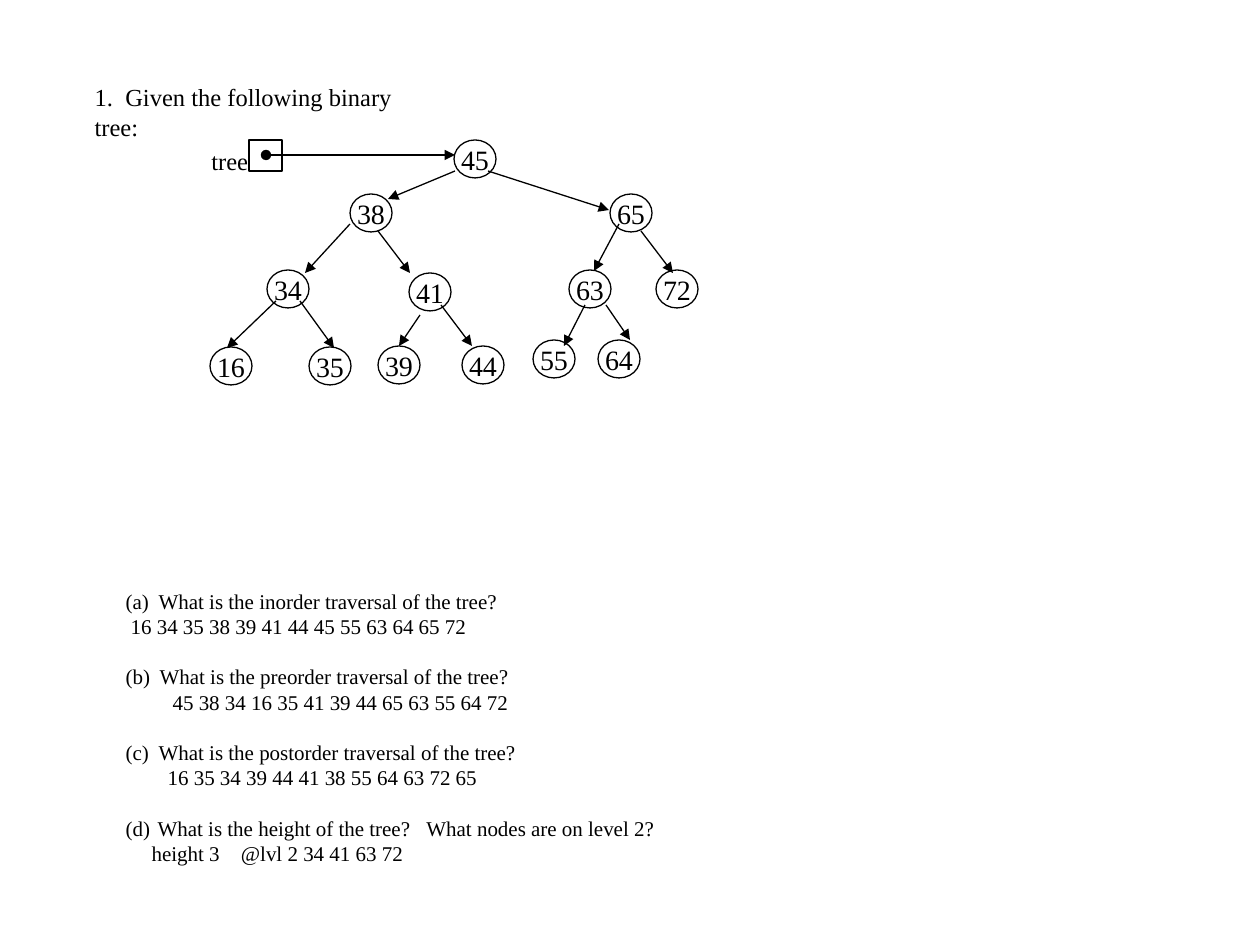
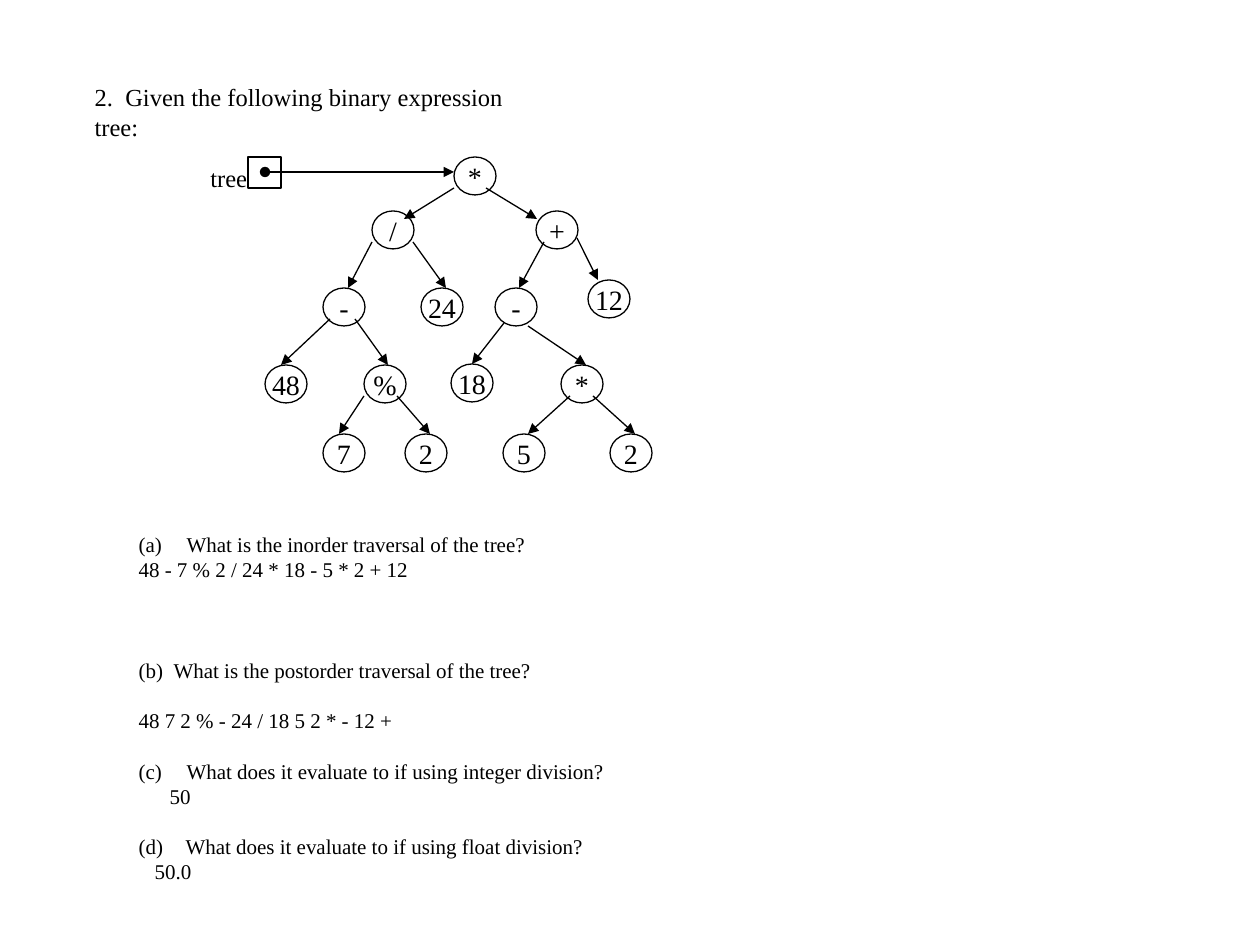
import pptx
import pptx.util
import pptx.dml.color
import pptx.enum.shapes
import pptx.enum.text
import pptx.oxml

Pt = pptx.util.Pt
Shape = pptx.enum.shapes.MSO_SHAPE
Link = pptx.enum.shapes.MSO_CONNECTOR
Text = pptx.enum.text
scale = 914400 / 126
theme = {
    "ink": pptx.dml.color.RGBColor(0, 0, 0),
    "font": "Times New Roman",
    "head": 14, "body": 12, "node": 16,
    "line": 0.75, "row": 14.4,
    "size": (42, 38),
}
space = 'xmlns:a="http://schemas.openxmlformats.org/drawingml/2006/main"'
flush = {"margin_left": 0, "margin_right": 0, "margin_top": 0, "margin_bottom": 0,
         "word_wrap": False, "vertical_anchor": Text.MSO_ANCHOR.MIDDLE}
block = {"word_wrap": True, "auto_size": Text.MSO_AUTO_SIZE.NONE,
         "vertical_anchor": Text.MSO_ANCHOR.TOP}


def put(thing, vals):
    for name, val in vals.items():
        setattr(thing, name, val)


def say(para, text, size, gap=0, align=Text.PP_ALIGN.LEFT):
    para.alignment = align
    for num, part in enumerate(text.replace("|", "| |").split("|")):
        run = para.add_run()
        run.text = part
        put(run.font, {"name": theme["font"], "size": Pt(theme[size]), "bold": False})
        run.font.color.rgb = theme["ink"]
        if num % 2:
            run.font._element.set("spc", str(gap * 100))


pages = [
    {
        "title": "1.|Given the following binary tree:",
        "wide": 372, "root": (249, 140), "body": (113, 582, 667, 292),
        "nodes": [
            ("45", 454, 140), ("38", 350, 194), ("65", 610, 194), ("34", 267, 270),
            ("41", 409, 273), ("63", 569, 270), ("72", 656, 270), ("16", 210, 347),
            ("35", 309, 347), ("39", 378, 346), ("44", 462, 346), ("55", 533, 340),
            ("64", 598, 340),
        ],
        "edges": [
            (455, 171, 388, 199), (488, 171, 609, 210), (350, 224, 305, 273),
            (378, 231, 410, 273), (619, 224, 594, 271), (641, 231, 673, 273),
            (276, 301, 227, 348), (300, 301, 334, 348), (420, 315, 399, 346),
            (441, 305, 472, 346), (585, 305, 564, 346), (606, 305, 630, 340),
        ],
        "rows": [
            (1, 33, 0, "What is the inorder traversal of the tree?"),
            (0, 5, 0, "16 34 35 38 39 41 44 45 55 63 64 65 72"),
            (2, 34, 1, "What is the preorder traversal of the tree?"),
            (0, 47, 0, "45 38 34 16 35 41 39 44 65 63 55 64 72"),
            (3, 33, 1, "What is the postorder traversal of the tree?"),
            (0, 42, 0, "16 35 34 39 44 41 38 55 64 63 72 65"),
            (4, 32, 1, "What is the height of the tree?|What nodes are on level 2?"),
            (0, 26, 0, "height 3|@lvl 2 34 41 63 72"),
        ],
    },
    {
        "title": "2.|Given the following binary expression tree:",
        "wide": 483, "root": (248, 157), "body": (126, 525, 496, 420),
        "nodes": [
            ("*", 454, 157), ("/", 372, 211), ("+", 536, 211), ("-", 323, 288),
            ("24", 421, 288), ("-", 495, 288), ("12", 588, 280), ("48", 265, 365),
            ("%", 364, 365), ("18", 451, 364), ("*", 561, 365), ("7", 323, 434),
            ("2", 405, 434), ("5", 503, 434), ("2", 610, 434),
        ],
        "edges": [
            (454, 188, 404, 219), (486, 188, 537, 219), (372, 242, 348, 288),
            (413, 242, 446, 288), (544, 242, 519, 288), (577, 238, 598, 280),
            (330, 319, 281, 365), (355, 319, 388, 365), (504, 323, 472, 364),
            (528, 326, 586, 365), (364, 396, 339, 434), (397, 396, 430, 434),
            (570, 396, 528, 434), (593, 396, 635, 434),
        ],
        "rows": [
            (1, 48, 0, "What is the inorder traversal of the tree?"),
            (0, 0, 0, "48 - 7 % 2 / 24 * 18 - 5 * 2 + 12"),
            (2, 35, 3, "What is the postorder traversal of the tree?"),
            (0, 0, 1, "48 7 2 % - 24 / 18 5 2 * - 12 +"),
            (3, 48, 1, "What does it evaluate to if using integer division?"),
            (0, 31, 0, "50"),
            (4, 47, 1, "What does it evaluate to if using float division?"),
            (0, 16, 0, "50.0"),
        ],
    },
]

deck = pptx.Presentation()
put(deck, {"slide_width": round(1260 * scale), "slide_height": round(945 * scale)})

for page in pages:
    slide = deck.slides.add_slide(deck.slide_layouts[1])
    title, body = slide.placeholders
    for hold, area in ((title, (82, 76, page["wide"], 72)), (body, page["body"])):
        left, top, wide, high = [round(val * scale) for val in area]
        put(hold, {"left": left, "top": top, "width": wide, "height": high})
        put(hold.text_frame, block)
    title.text_frame.margin_right = round(24 * scale)
    say(title.text_frame.paragraphs[0], page["title"], "head", 3.5)

    for num, (mark, dent, blank, text) in enumerate(page["rows"]):
        para = body.text_frame.add_paragraph() if num else body.text_frame.paragraphs[0]
        put(para, {"space_before": Pt(blank * theme["row"]), "space_after": Pt(0)})
        say(para, text, "body", 6 if mark else 9)
        prop = para._p.get_or_add_pPr()
        shift = round(dent * scale)
        prop.set("marL", str(shift if mark else 0))
        prop.set("indent", str(-shift if mark else shift))
        if mark:
            prop.append(pptx.oxml.parse_xml(f'<a:buFont {space} typeface="{theme["font"]}"/>'))
            prop.append(pptx.oxml.parse_xml(
                f'<a:buAutoNum {space} type="alphaLcParenBoth" startAt="{mark}"/>'))
        else:
            prop.append(pptx.oxml.parse_xml(f"<a:buNone {space}/>"))

    left, top = page["root"]
    forms = [(Shape.OVAL, text, x, y, *theme["size"]) for text, x, y in page["nodes"]]
    forms.append((Shape.RECTANGLE, "", left, top, 33, 31))
    for kind, text, *area in forms:
        form = slide.shapes.add_shape(kind, *[round(val * scale) for val in area])
        form.shadow.inherit = False
        form.fill.background()
        form.line.color.rgb = theme["ink"]
        form.line.width = Pt(theme["line"])
        if text:
            put(form.text_frame, flush)
            say(form.text_frame.paragraphs[0], text, "node", align=Text.PP_ALIGN.CENTER)

    label = slide.shapes.add_textbox(*[round(val * scale) for val in (left - 50, top, 62, 42)])
    label.text_frame.word_wrap = False
    say(label.text_frame.paragraphs[0], "tree", "head")

    start = (left + 17, top + 15, left + 206, top + 15)
    for edge in [start] + page["edges"]:
        link = slide.shapes.add_connector(Link.STRAIGHT, *[round(val * scale) for val in edge])
        link.line.color.rgb = theme["ink"]
        link.line.width = Pt(theme["line"])
        stroke = link.line._get_or_add_ln()
        if edge is start:
            stroke.append(pptx.oxml.parse_xml(f'<a:headEnd {space} type="oval"/>'))
        stroke.append(pptx.oxml.parse_xml(f'<a:tailEnd {space} type="triangle"/>'))
        link._element.spPr.append(pptx.oxml.parse_xml(f"<a:effectLst {space}/>"))

deck.save("out.pptx")
